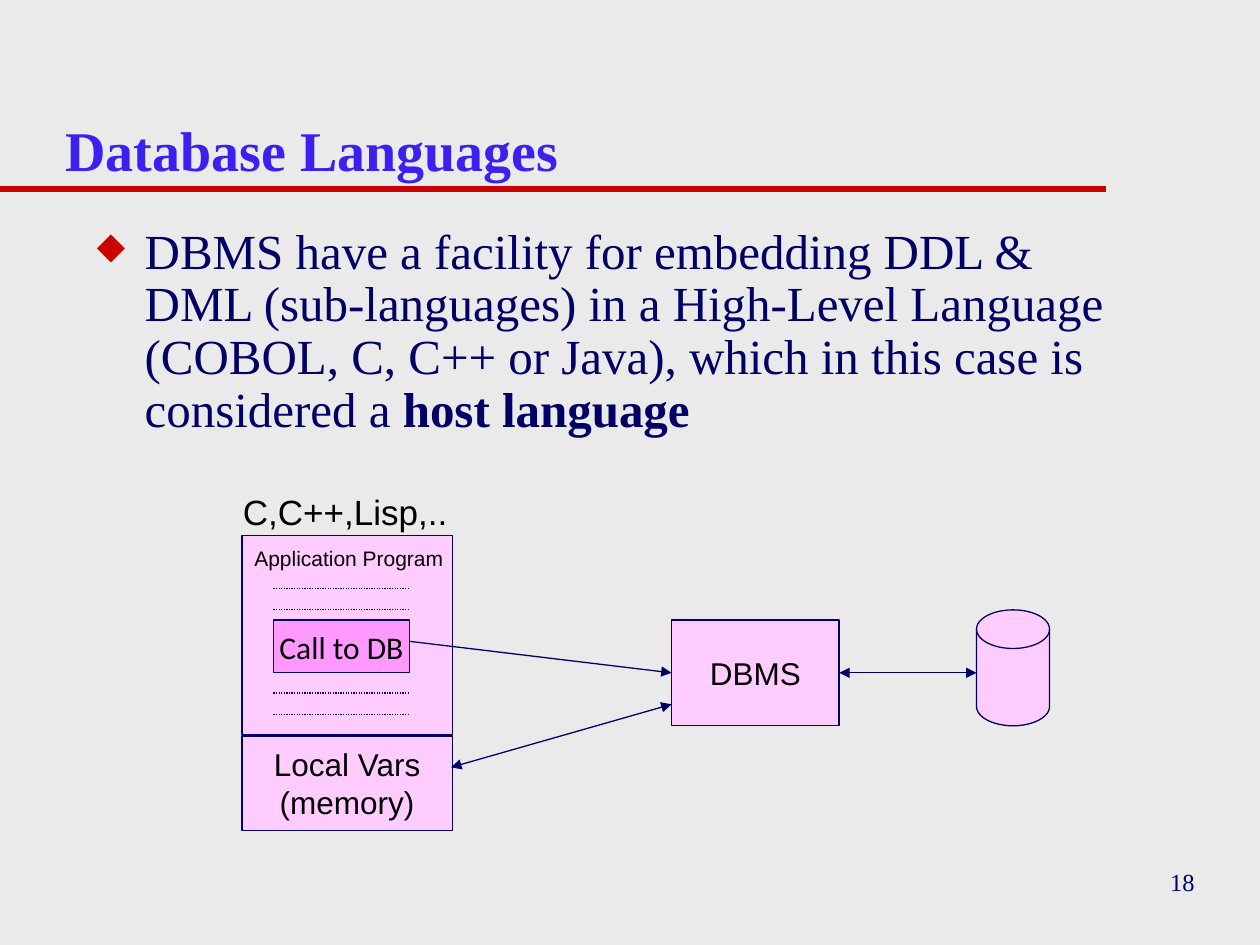
from lxml import etree
from pptx import Presentation
from pptx.dml.color import RGBColor
from pptx.enum.dml import MSO_LINE as Dash
from pptx.enum.shapes import MSO_CONNECTOR as Conn, MSO_SHAPE as Kind
from pptx.enum.text import MSO_ANCHOR as Anchor, PP_ALIGN as Align
from pptx.oxml.ns import qn
from pptx.util import Inches, Pt

PAPER = RGBColor(0xEA, 0xEA, 0xEA)
RED = RGBColor(0xCC, 0x00, 0x00)
BLUE = RGBColor(0x3A, 0x21, 0xEF)
NAVY = RGBColor(0x00, 0x00, 0x66)
PINK = RGBColor(0xFF, 0xCC, 0xFF)
ROSE = RGBColor(0xFF, 0x99, 0xFF)
BLACK = RGBColor(0x00, 0x00, 0x00)
SERIF, SANS = "Times New Roman", "Arial"

TITLE = "Database Languages"
BODY = [
    ("DBMS have a facility for embedding DDL & DML (sub-languages) in a "
     "High-Level Language (COBOL, C, C++ or Java), which in this case is "
     "considered a ", False),
    ("host language", True),
]
BOXES = {
    "program": (Kind.RECTANGLE, (1.92, 4.25, 1.67, 1.58), PINK, [], SANS),
    "dbms": (Kind.RECTANGLE, (5.33, 4.92, 1.33, 0.84), PINK, ["DBMS"], SANS),
    "call": (Kind.RECTANGLE, (2.17, 4.92, 1.08, 0.42), ROSE, ["Call to DB"], "Calibri"),
    "disk": (Kind.FLOWCHART_MAGNETIC_DISK, (7.75, 4.84, 0.58, 0.92), PINK, [], SANS),
    "vars": (Kind.RECTANGLE, (1.92, 5.84, 1.67, 0.75), PINK,
             ["Local Vars", "(memory)"], SANS),
}
CODE_ROWS = [4.67, 4.84, 5.5, 5.67]

deck = Presentation()
deck.slide_width, deck.slide_height = Inches(10), Inches(7.5)
slide = deck.slides.add_slide(deck.slide_layouts[6])
slide.background.fill.solid()
slide.background.fill.fore_color.rgb = PAPER


def style(para, size, face, color, bold=None):
    font = para.font
    font.size, font.name, font.bold = Pt(size), face, bold
    font.color.rgb = color


def add_text(spot, text, size, face, color, bold=None,
             anchor=Anchor.TOP, align=Align.LEFT):
    frame = slide.shapes.add_textbox(*map(Inches, spot)).text_frame
    frame.word_wrap, frame.vertical_anchor = True, anchor
    para = frame.paragraphs[0]
    para.text, para.alignment = text, align
    style(para, size, face, color, bold)
    return para


def add_box(kind, spot, fill, lines, face):
    box = slide.shapes.add_shape(kind, *map(Inches, spot))
    box.shadow.inherit = False
    box.fill.solid()
    box.fill.fore_color.rgb = fill
    box.line.color.rgb, box.line.width = NAVY, Pt(0.75)
    if lines:
        frame = box.text_frame
        frame.word_wrap, frame.vertical_anchor = False, Anchor.MIDDLE
        frame.text = "\n".join(lines)
        for para in frame.paragraphs:
            para.alignment = Align.CENTER
            style(para, 18, face, BLACK)
    return box


def add_line(start, end, color=NAVY, width=0.75, dash=None, heads=()):
    line = slide.shapes.add_connector(Conn.STRAIGHT, *map(Inches, start + end))
    line.line.color.rgb, line.line.width = color, Pt(width)
    if dash:
        line.line.dash_style = dash
    props = line.line._get_or_add_ln()
    for head in heads:
        etree.SubElement(props, qn("a:" + head), type="triangle")
    etree.SubElement(line._element.spPr, qn("a:effectLst"))
    return line


def add_bullet(para):
    props = para._p.get_or_add_pPr()
    props.set("marL", str(Inches(0.38)))
    props.set("indent", str(-Inches(0.38)))
    tint = etree.SubElement(props, qn("a:buClr"))
    etree.SubElement(tint, qn("a:srgbClr"), val=str(RED))
    etree.SubElement(props, qn("a:buSzPct"), val="75000")
    etree.SubElement(props, qn("a:buChar"), char="◆")


add_line((0, 1.5), (8.78, 1.5), RED, 4)
add_text((7.5, 6.75, 2.08, 0.5), "18", 14, SERIF, NAVY,
         anchor=Anchor.MIDDLE, align=Align.RIGHT)
add_text((0.42, 0.29, 8.5, 1.21), TITLE, 32, SERIF, BLUE, True,
         anchor=Anchor.BOTTOM)

body = add_text((0.67, 1.75, 8.45, 5.07), "", 28, SERIF, NAVY)
add_bullet(body)
body.line_spacing = 0.9
for text, bold in BODY:
    run = body.add_run()
    run.text = text
    if bold:
        run.font.bold = True

box = {name: add_box(*spot) for name, spot in BOXES.items()}
add_text((1.83, 3.84, 2, 0.44), "C,C++,Lisp,..", 20, SANS, BLACK)
label = add_text((1.92, 4.32, 1.75, 0.26), "Application Program", 12, SANS, BLACK)
label.line_spacing = 0.8

for y in CODE_ROWS:
    add_line((2.17, y), (3.25, y), dash=Dash.ROUND_DOT)

both = ("headEnd", "tailEnd")
query = add_line((3.25, 5.09), (5.33, 5.34), heads=("tailEnd",))
query.end_connect(box["dbms"], 1)
add_line((3.58, 6.09), (5.33, 5.59), heads=both)
store = add_line((6.66, 5.34), (7.75, 5.34), heads=both)
store.begin_connect(box["dbms"], 3)

deck.save("out.pptx")
